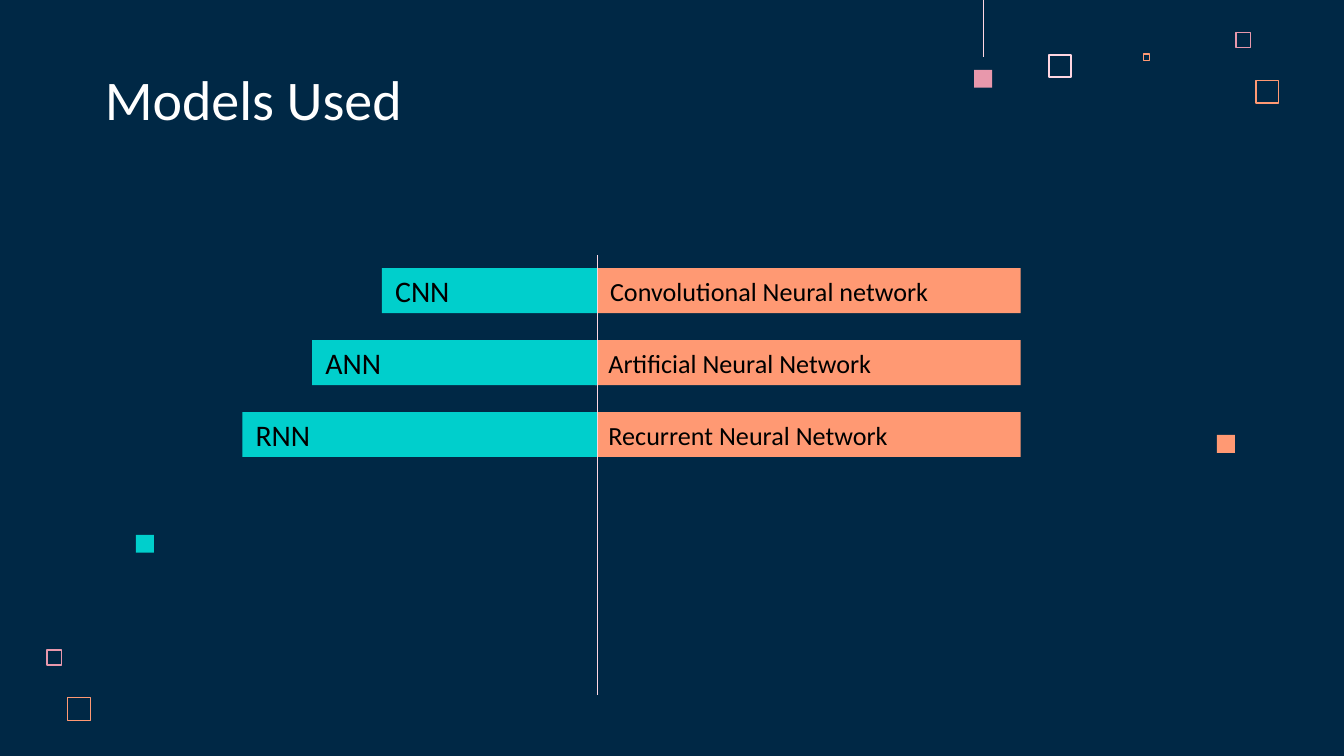
from lxml.etree import SubElement
from pptx import Presentation
from pptx.dml.color import RGBColor
from pptx.enum.shapes import MSO_CONNECTOR, MSO_SHAPE
from pptx.enum.text import MSO_ANCHOR, PP_ALIGN
from pptx.oxml.ns import qn
from pptx.util import Cm, Pt

NAVY, WHITE, BLACK = "002845", "FFFFFF", "000000"
PALE, PINK, ORANGE, TEAL = "FFD6E1", "E898AC", "FF9973", "00CFCC"
FONT = "Calibri"


def color(hex_string):
    return RGBColor.from_string(hex_string)


class Deck:
    """Holds the shared style and the slide being built."""

    def __init__(self, width, height):
        self.prs = Presentation()
        self.prs.slide_width, self.prs.slide_height = Cm(width), Cm(height)
        self.s = None

    def add_slide(self, background):
        self.s = self.prs.slides.add_slide(self.prs.slide_layouts[5])
        fill = self.s.background.fill
        fill.solid()
        fill.fore_color.rgb = color(background)

    def set_text(self, sp, text, size, text_color, anchor):
        tf = sp.text_frame
        tf.text = text
        tf.word_wrap = True
        tf.vertical_anchor = anchor
        tf.margin_left = tf.margin_right = Cm(0.25)
        tf.margin_top = tf.margin_bottom = Cm(0.25)
        p = tf.paragraphs[0]
        p.alignment = PP_ALIGN.LEFT
        font = p.runs[0].font
        font.name, font.size = FONT, Pt(size)
        font.color.rgb = color(text_color)

    def title(self, text, x, y, w, h):
        sp = self.s.shapes.title
        sp.left, sp.top, sp.width, sp.height = Cm(x), Cm(y), Cm(w), Cm(h)
        self.set_text(sp, text, 30, WHITE, MSO_ANCHOR.BOTTOM)

    def rectangle(self, x, y, w, h, fill):
        sp = self.s.shapes.add_shape(
            MSO_SHAPE.RECTANGLE, Cm(x), Cm(y), Cm(w), Cm(h))
        sp.shadow.inherit = False
        sp.fill.solid()
        sp.fill.fore_color.rgb = color(fill)
        sp.line.fill.background()
        return sp

    def hollow_square(self, x, y, side, outline, width=0.75):
        sp = self.rectangle(x, y, side, side, NAVY)
        sp.fill.background()
        sp.line.color.rgb = color(outline)
        sp.line.width = Pt(width)

    def bar(self, x, y, right, h, fill, text, size):
        sp = self.rectangle(x, y, right - x, h, fill)
        self.set_text(sp, text, size, BLACK, MSO_ANCHOR.MIDDLE)

    def vertical_line(self, x, top, bottom, width):
        line = self.s.shapes.add_connector(
            MSO_CONNECTOR.STRAIGHT, Cm(x), Cm(top), Cm(x), Cm(bottom))
        line.line.color.rgb = color(PALE)
        line.line.width = Pt(width)
        SubElement(line._element.spPr, qn("a:effectLst"))


def main():
    deck = Deck(25.4, 14.29)
    deck.add_slide(NAVY)

    deck.hollow_square(19.83, 1.04, 0.42, PALE, 1)
    for x, y, side, outline in [
        (23.36, 0.62, 0.28, PINK),
        (21.61, 1.02, 0.12, ORANGE),
        (23.74, 1.52, 0.43, ORANGE),
        (0.89, 12.29, 0.28, PINK),
        (1.28, 13.19, 0.43, ORANGE),
    ]:
        deck.hollow_square(x, y, side, outline)
    for x, y, fill in [(18.41, 1.32, PINK), (2.57, 10.11, TEAL), (23, 8.22, ORANGE)]:
        deck.rectangle(x, y, 0.34, 0.34, fill)
    deck.vertical_line(18.59, 0, 1.08, 0.5)

    deck.title("Models Used", 1.73, 1.14, 17.09, 1.6)

    axis, bar_height = 11.29, 0.85
    models = [
        ("CNN", "Convolutional Neural network", 11.28),
        ("ANN", "Artificial Neural Network", 11.25),
        ("RNN", "Recurrent Neural Network", 11.25),
    ]
    for i, (short, full, name_left) in enumerate(models):
        y = 5.07 + i * 1.36
        deck.bar(name_left, y, 19.29, bar_height, ORANGE, full, 14)
        deck.bar(7.22 - i * 1.32, y, axis, bar_height, TEAL, short, 16)
    deck.vertical_line(axis, 4.82, 13.13, 0.75)

    deck.prs.save("out.pptx")


if __name__ == "__main__":
    main()
